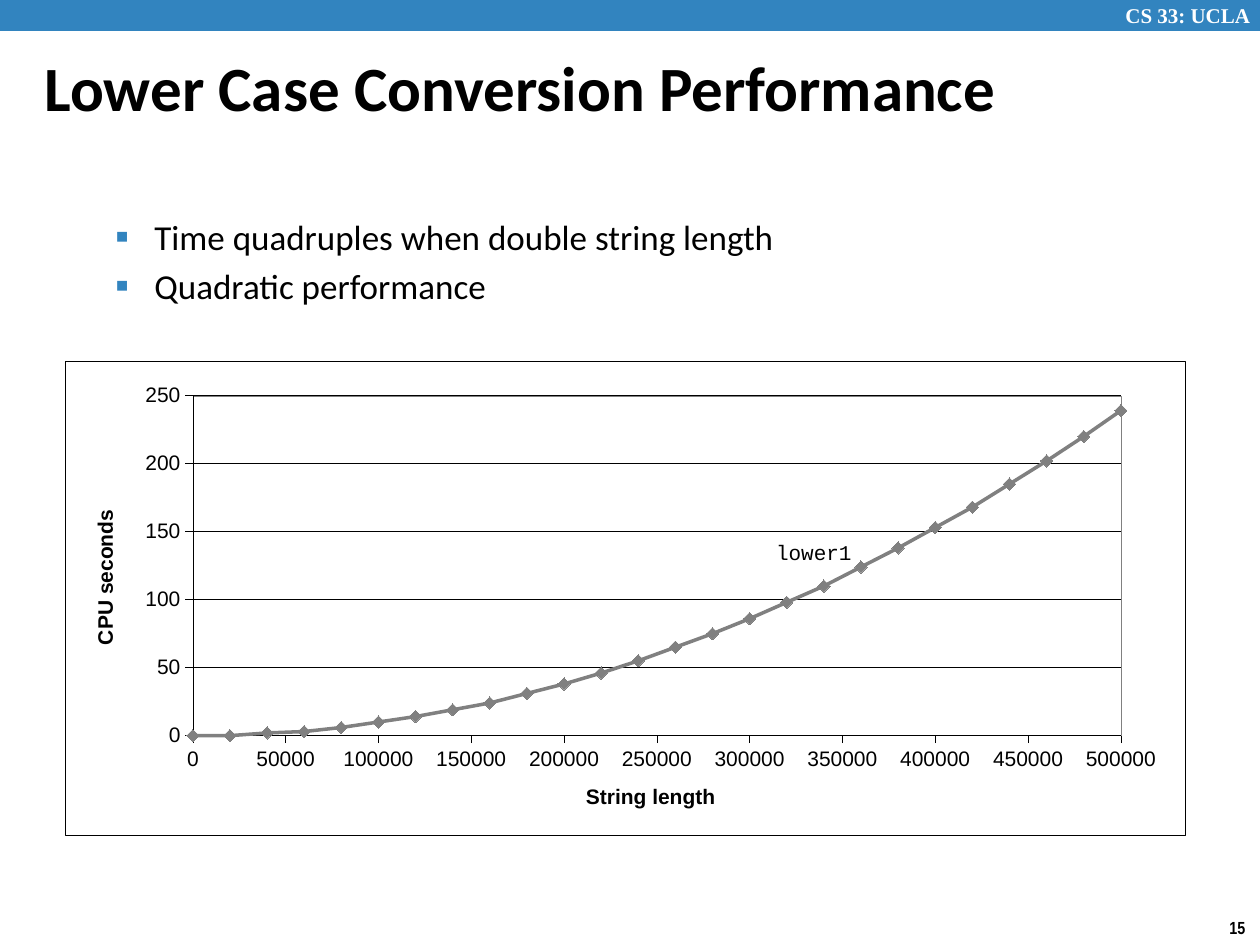
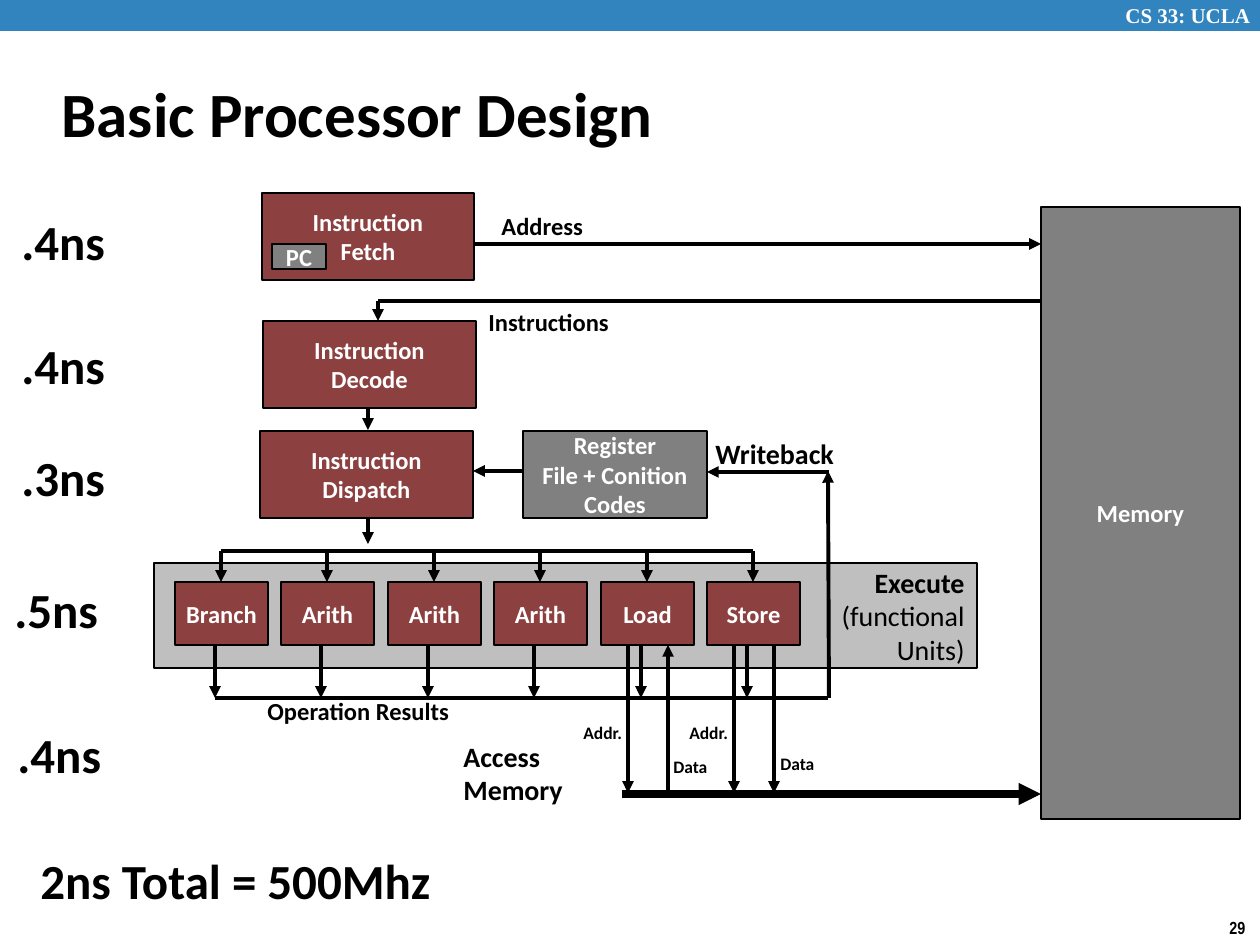
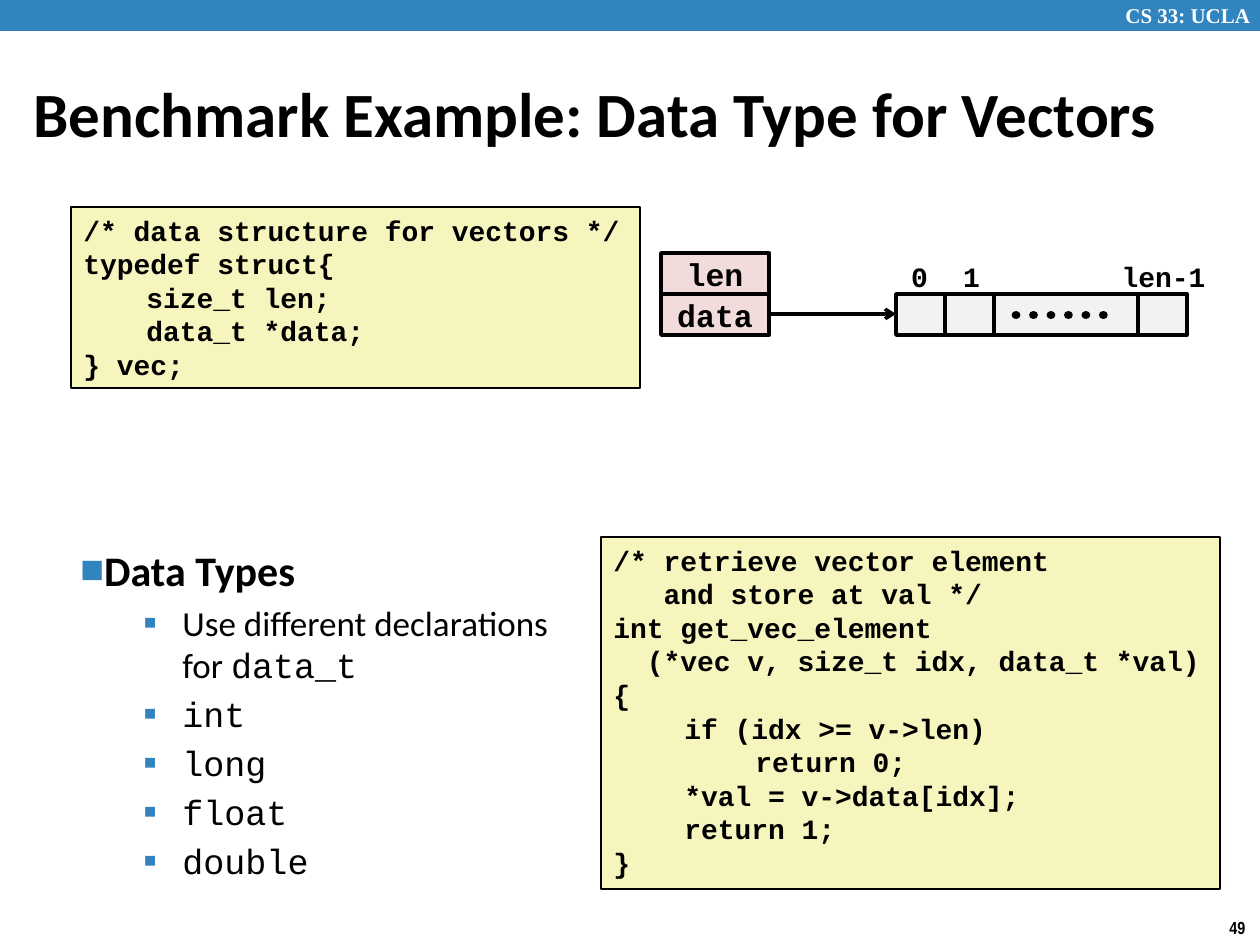
import pptx
import pptx.chart.data
import pptx.dml.color
import pptx.enum.chart
import pptx.enum.dml
import pptx.enum.shapes
import pptx.enum.text
import pptx.oxml
import pptx.oxml.ns
import pptx.util
from lxml import etree

RGBColor = pptx.dml.color.RGBColor
Pt = pptx.util.Pt
qn = pptx.oxml.ns.qn
ALIGN = pptx.enum.text.PP_ALIGN
ANCHOR = pptx.enum.text.MSO_ANCHOR

BLUE = RGBColor(0x32, 0x84, 0xBF)
BLACK = RGBColor(0, 0, 0)
WHITE = RGBColor(0xFF, 0xFF, 0xFF)
GRAY = RGBColor(0x80, 0x80, 0x80)
DARK_GRAY = RGBColor(0x33, 0x33, 0x33)
SILVER = RGBColor(0xBF, 0xBF, 0xBF)
PALE_GRAY = RGBColor(0xF2, 0xF2, 0xF2)
MAROON = RGBColor(0x8C, 0x40, 0x40)
YELLOW = RGBColor(0xF6, 0xF5, 0xBD)
PINK = RGBColor(0xF2, 0xDC, 0xDB)
BODY_FONT = "Calibri"
CODE_FONT = "Courier New"

PX_PER_INCH = 126
SLIDE_WIDTH, SLIDE_HEIGHT = 1260, 945

# Performance slide
BULLETS = [[("Time quadruples when double string length", BODY_FONT)],
           [("Quadratic performance", BODY_FONT)]]
LENGTH_STEP = 20000
CPU_SECONDS = [0, 0, 2, 3, 6, 10, 14, 19, 24, 31, 38, 46, 55, 65, 75, 86, 98,
               110, 124, 138, 153, 168, 185, 202, 220, 239]
PLOT_LAYOUT = {"x": 0.114, "y": 0.073, "w": 0.829, "h": 0.718}

# Processor slide: text lines, place, fill
STAGES = [
    (["Instruction", "Fetch"], (262, 193, 212, 87), MAROON),
    (["Instruction", "Decode"], (263, 321, 213, 87), MAROON),
    (["Instruction", "Dispatch"], (260, 431, 213, 87), MAROON),
    (["Register", "File + Conition", "Codes"], (523, 431, 184, 87), GRAY),
    (["Memory"], (1041, 207, 199, 612), GRAY),
    (["PC"], (272, 244, 54, 25), GRAY),
]
UNITS = ["Branch", "Arith", "Arith", "Arith", "Load", "Store"]
FIRST_UNIT, LAST_UNIT, UNIT_TOP, UNIT_WIDTH, UNIT_HEIGHT = 175, 707, 582, 93, 63
UNIT_BOTTOM = UNIT_TOP + UNIT_HEIGHT
ISSUE_BUS, RESULT_BUS, MEMORY_BUS = 551, 698, 794
PATHS = [  # start, end, has an arrowhead
    ((473, 244), (1041, 244), True),
    ((1041, 301), (378, 301), False),
    ((378, 301), (378, 321), True),
    ((368, 408), (368, 430), True),
    ((368, 518), (368, 544), True),
    ((523, 471), (473, 471), True),
    ((829, 698), (828, 471), True),
    ((829, 472), (707, 472), True),
]
LABELS = [  # text, size, place
    ("Address", 14, (489, 205, 108, 43)),
    ("Instructions", 14, (476, 301, 147, 43)),
    ("Operation Results", 14, (255, 690, 209, 43)),
    ("Data", 10, (768, 747, 61, 34)),
    ("Data", 10, (661, 750, 61, 34)),
    ("Addr.", 10, (571, 716, 66, 34)),
    ("Addr.", 10, (677, 716, 66, 34)),
    ("Access Memory", 16, (451, 733, 176, 81)),
    ("Writeback", 16, (703, 430, 176, 47)),
    (".4ns", 28, (9, 205, 110, 72)),
    (".4ns", 28, (9, 329, 110, 72)),
    (".3ns", 28, (9, 441, 110, 72)),
    (".5ns", 28, (2, 573, 110, 72)),
    (".4ns", 28, (5, 718, 110, 72)),
    ("2ns Total = 500Mhz", 28, (28, 844, 421, 72)),
]
WRAPPED_LABELS = {"Access Memory", "Writeback"}

# Vector slide
STRUCT_CODE = ["/* data structure for vectors */", "typedef struct{",
               "\tsize_t len;", "\tdata_t *data;", "} vec;"]
GETTER_CODE = ["/* retrieve vector element", "   and store at val */",
               "int get_vec_element", "  (*vec v, size_t idx, data_t *val)", "{",
               "\tif (idx >= v->len)", "\t\treturn 0;", "\t*val = v->data[idx];",
               "\treturn 1;", "}"]
DATA_TYPES = [[("Use different declarations for ", BODY_FONT), ("data_t", CODE_FONT)]]
DATA_TYPES += [[(name, CODE_FONT)] for name in ("int", "long", "float", "double")]
FIELDS = ["len", "data"]
FIELD_LEFT, FIELD_TOP, FIELD_WIDTH = 661, 253, 108
ARRAY_LEFT, ARRAY_TOP, CELL_HEIGHT = 896, 294, 41
CELL_WIDTHS = [49, 49, 144, 49]
INDEXES = [("0", (898, 253, 43, 47)), ("1", (950, 253, 43, 47)),
           ("len-1", (1108, 253, 111, 47))]


def px(length):
    return round(length * 914400 / PX_PER_INCH)


def set_font(font, size, color=BLACK, bold=False, name=BODY_FONT):
    font.size, font.bold, font.name = Pt(size), bold, name
    font.color.rgb = color


def next_paragraph(frame):
    """Return the frame's empty first paragraph, or else a new one."""
    first = frame.paragraphs[0]
    return frame.add_paragraph() if first.runs else first


def write_lines(frame, lines, size, color=BLACK, bold=True, name=BODY_FONT,
                align=ALIGN.LEFT, tab=None):
    for text in lines:
        paragraph = next_paragraph(frame)
        paragraph.add_run().text = text
        paragraph.alignment = align
        if tab:
            tab_list = etree.SubElement(paragraph._p.get_or_add_pPr(), qn("a:tabLst"))
            for stop in (1, 2):
                etree.SubElement(tab_list, qn("a:tab"), pos=str(px(tab * stop)), algn="l")
        set_font(paragraph.font, size, color, bold, name)


def add_label(slide, text, size, place, wrap=False, **style):
    frame = slide.shapes.add_textbox(*map(px, place)).text_frame
    frame.word_wrap = wrap
    write_lines(frame, [text], size, **style)
    return frame


def add_box(slide, place, fill, line_width=0.75):
    box = slide.shapes.add_shape(pptx.enum.shapes.MSO_SHAPE.RECTANGLE, *map(px, place))
    box.shadow.inherit = False
    box.fill.solid()
    box.fill.fore_color.rgb = fill
    if line_width:
        box.line.color.rgb = BLACK
        box.line.width = Pt(line_width)
    else:
        box.line.fill.background()
    return box


def add_named_box(slide, lines, place, fill, size=14, color=WHITE, line_width=0.75,
                  name=BODY_FONT):
    frame = add_box(slide, place, fill, line_width).text_frame
    frame.word_wrap = False
    frame.vertical_anchor = ANCHOR.MIDDLE
    write_lines(frame, lines, size, color, name=name, align=ALIGN.CENTER)


def add_line(slide, start, end, width=2.25, arrow=None, dotted=False):
    line = slide.shapes.add_connector(pptx.enum.shapes.MSO_CONNECTOR.STRAIGHT,
                                      *map(px, start + end))
    line.line.color.rgb = BLACK
    line.line.width = Pt(width)
    properties = line.element.spPr
    outline = properties.find(qn("a:ln"))
    if dotted:
        line.line.dash_style = pptx.enum.dml.MSO_LINE.ROUND_DOT
        outline.set("cap", "rnd")
    if arrow:
        etree.SubElement(outline, qn("a:tailEnd"), type=arrow)
    etree.SubElement(properties, qn("a:effectLst"))


def add_bullet(frame, runs, size, char, percent, left=0, indent=0, bold=False):
    paragraph = next_paragraph(frame)
    properties = paragraph._p.get_or_add_pPr()
    if len(frame.paragraphs) > 1:
        paragraph.space_before = Pt(size * 0.2)
    properties.set("marL", str(px(left)))
    properties.set("indent", str(px(indent)))
    color = etree.SubElement(properties, qn("a:buClr"))
    etree.SubElement(color, qn("a:srgbClr"), val=str(BLUE))
    etree.SubElement(properties, qn("a:buSzPct"), val=str(percent * 1000))
    etree.SubElement(properties, qn("a:buFont"), typeface=BODY_FONT)
    etree.SubElement(properties, qn("a:buChar"), char=char)
    set_font(paragraph.font, size, bold=bold)
    for text, name in runs:
        run = paragraph.add_run()
        run.text = text
        if name != BODY_FONT:
            run.font.name = name


def add_body(slide, place, items, heading=None):
    frame = slide.shapes.add_textbox(*map(px, place)).text_frame
    frame.word_wrap = True
    if heading:
        add_bullet(frame, [(heading, BODY_FONT)], 24, "■", 60, bold=True)
    for runs in items:
        add_bullet(frame, runs, 20, "▪", 110, left=102, indent=-39)


def add_slide(presentation, title, title_place, number):
    """Add a slide with its title and the shared band and page number."""
    slide = presentation.slides.add_slide(presentation.slide_layouts[5])
    add_box(slide, (0, 0, SLIDE_WIDTH, 31), BLUE, line_width=0)
    add_label(slide, "CS 33: UCLA", 12, (1113, -4, 156, 38), wrap=True, color=WHITE,
              name="Times New Roman")
    add_label(slide, number, 10, (1217, 911, 43, 34), name="Arial Narrow")
    placeholder = slide.shapes.title
    placeholder.left, placeholder.top, placeholder.width, placeholder.height = map(
        px, title_place)
    frame = placeholder.text_frame
    frame.auto_size = pptx.enum.text.MSO_AUTO_SIZE.NONE
    frame.vertical_anchor = ANCHOR.MIDDLE
    write_lines(frame, [title], 36)
    return slide


def chart_area_format(line_color, fill=None):
    """Return shape properties for a chart area with a hairline border."""
    area_fill = (f'<a:solidFill><a:srgbClr val="{fill}"/></a:solidFill>' if fill
                 else "<a:noFill/>")
    return pptx.oxml.parse_xml(
        f'<c:spPr {pptx.oxml.ns.nsdecls("c", "a")}>{area_fill}<a:ln w="3175">'
        f'<a:solidFill><a:srgbClr val="{line_color}"/></a:solidFill></a:ln></c:spPr>')


def format_axis(axis, title, maximum, step):
    axis.minimum_scale, axis.maximum_scale, axis.major_unit = 0, maximum, step
    axis.major_tick_mark = pptx.enum.chart.XL_TICK_MARK.OUTSIDE
    axis.minor_tick_mark = pptx.enum.chart.XL_TICK_MARK.NONE
    axis.format.line.color.rgb = BLACK
    axis.format.line.width = Pt(0.25)
    set_font(axis.tick_labels.font, 12, name="Arial")
    frame = axis.axis_title.text_frame
    frame.text = title
    set_font(frame.paragraphs[0].font, 12, bold=True, name="Arial")


def add_performance_chart(slide, place):
    data = pptx.chart.data.XyChartData(number_format="General")
    points = data.add_series("Series 1")
    for index, seconds in enumerate(CPU_SECONDS):
        points.add_data_point(index * LENGTH_STEP, seconds)
    chart = slide.shapes.add_chart(pptx.enum.chart.XL_CHART_TYPE.XY_SCATTER_SMOOTH,
                                   *map(px, place), data).chart
    chart.has_title = chart.has_legend = False
    set_font(chart.font, 12, name="Arial")
    chart.plots[0].vary_by_categories = False

    length_axis, time_axis = chart.category_axis, chart.value_axis
    format_axis(length_axis, "String length", 500000, 50000)
    format_axis(time_axis, "CPU seconds", 250, 50)
    length_axis.has_major_gridlines = False
    gridlines = time_axis.major_gridlines.format.line
    gridlines.color.rgb = BLACK
    gridlines.width = Pt(0.25)

    series = chart.plots[0].series[0]
    series.smooth = True
    series.format.line.color.rgb = GRAY
    series.format.line.width = Pt(2)
    marker = series.marker
    marker.style, marker.size = pptx.enum.chart.XL_MARKER_STYLE.DIAMOND, 7
    marker.format.fill.solid()
    marker.format.fill.fore_color.rgb = GRAY
    marker.format.line.color.rgb = DARK_GRAY

    chart_element = chart.element.find(qn("c:chart"))
    chart_element.addnext(chart_area_format(BLACK, WHITE))
    plot_area = chart_element.find(qn("c:plotArea"))
    for layout in plot_area.findall(qn("c:layout")):
        plot_area.remove(layout)
    layout = etree.Element(qn("c:layout"))
    manual = etree.SubElement(layout, qn("c:manualLayout"))
    settings = {"layoutTarget": "inner", "xMode": "edge", "yMode": "edge", **PLOT_LAYOUT}
    for name, value in settings.items():
        etree.SubElement(manual, qn(f"c:{name}"), val=str(value))
    plot_area.insert(0, layout)
    plot_area.append(chart_area_format(GRAY))


def build_performance(presentation):
    slide = add_slide(presentation, "Lower Case Conversion Performance",
                      (32, 47, 1196, 79), "15")
    add_body(slide, (40, 209, 1145, 125), BULLETS)
    add_performance_chart(slide, (65, 361, 1120, 474))
    frame = add_label(slide, "lower1", 12, (772, 536, 81, 30), bold=False, name=CODE_FONT)
    frame.margin_left = frame.margin_top = px(4)
    frame.margin_right = frame.margin_bottom = 0


def build_processor(presentation):
    slide = add_slide(presentation, "Basic Processor Design", (49, 60, 1046, 105), "29")
    execute = add_box(slide, (154, 563, 823, 105), SILVER).text_frame
    execute.word_wrap = True
    execute.vertical_anchor = ANCHOR.MIDDLE
    write_lines(execute, ["Execute"], 16, align=ALIGN.RIGHT)
    write_lines(execute, ["(functional", "Units)"], 16, bold=False, align=ALIGN.RIGHT)

    for lines, place, fill in STAGES:
        add_named_box(slide, lines, place, fill)
    for start, end, has_arrow in PATHS:
        add_line(slide, start, end, arrow="triangle" if has_arrow else None)

    for index, name in enumerate(UNITS):
        left = FIRST_UNIT + round(index * (LAST_UNIT - FIRST_UNIT) / (len(UNITS) - 1))
        add_named_box(slide, [name], (left, UNIT_TOP, UNIT_WIDTH, UNIT_HEIGHT), MAROON)
        add_line(slide, (left + 46, ISSUE_BUS), (left + 46, UNIT_TOP), arrow="triangle")
        add_line(slide, (left + 40, UNIT_BOTTOM), (left + 40, RESULT_BUS), arrow="triangle")
        if name in ("Load", "Store"):
            address, data = left + 27, left + 67
            ends = [(data, UNIT_BOTTOM), (data, MEMORY_BUS - 1)]
            if name == "Load":
                ends.reverse()
            add_line(slide, (address, UNIT_BOTTOM), (address, MEMORY_BUS - 1),
                     arrow="triangle")
            add_line(slide, *ends, arrow="triangle")
    add_line(slide, (FIRST_UNIT + 46, ISSUE_BUS), (LAST_UNIT + 46, ISSUE_BUS))
    add_line(slide, (FIRST_UNIT + 40, RESULT_BUS), (828, RESULT_BUS))
    add_line(slide, (622, MEMORY_BUS), (1041, MEMORY_BUS), width=4.25, arrow="triangle")

    for text, size, place in LABELS:
        add_label(slide, text, size, place, wrap=text in WRAPPED_LABELS)


def build_vectors(presentation):
    slide = add_slide(presentation, "Benchmark Example: Data Type for Vectors",
                      (21, 60, 1197, 105), "49")
    add_body(slide, (68, 538, 533, 375), DATA_TYPES, heading="Data Types")
    for code, place, tab in ((STRUCT_CODE, (71, 207, 569, 181), 63),
                             (GETTER_CODE, (601, 537, 619, 352), 71)):
        frame = add_box(slide, place, YELLOW, line_width=1).text_frame
        frame.word_wrap = True
        frame.vertical_anchor = ANCHOR.TOP
        write_lines(frame, code, 16, name=CODE_FONT, tab=tab)

    for row, field in enumerate(FIELDS):
        place = (FIELD_LEFT, FIELD_TOP + row * CELL_HEIGHT, FIELD_WIDTH, CELL_HEIGHT)
        add_named_box(slide, [field], place, PINK, 18, BLACK, 2, CODE_FONT)
    for index, width in enumerate(CELL_WIDTHS):
        left = ARRAY_LEFT + sum(CELL_WIDTHS[:index])
        add_box(slide, (left, ARRAY_TOP, width, CELL_HEIGHT), PALE_GRAY, line_width=2)
    add_line(slide, (FIELD_LEFT + FIELD_WIDTH, 314), (ARRAY_LEFT, 314), 2, arrow="arrow")
    add_line(slide, (1016, 315), (1116, 315), 5, dotted=True)
    for text, place in INDEXES:
        add_label(slide, text, 16, place, name=CODE_FONT, align=ALIGN.CENTER)


def main():
    presentation = pptx.Presentation()
    presentation.slide_width, presentation.slide_height = px(SLIDE_WIDTH), px(SLIDE_HEIGHT)
    build_performance(presentation)
    build_processor(presentation)
    build_vectors(presentation)
    presentation.save("out.pptx")


if __name__ == "__main__":
    main()
